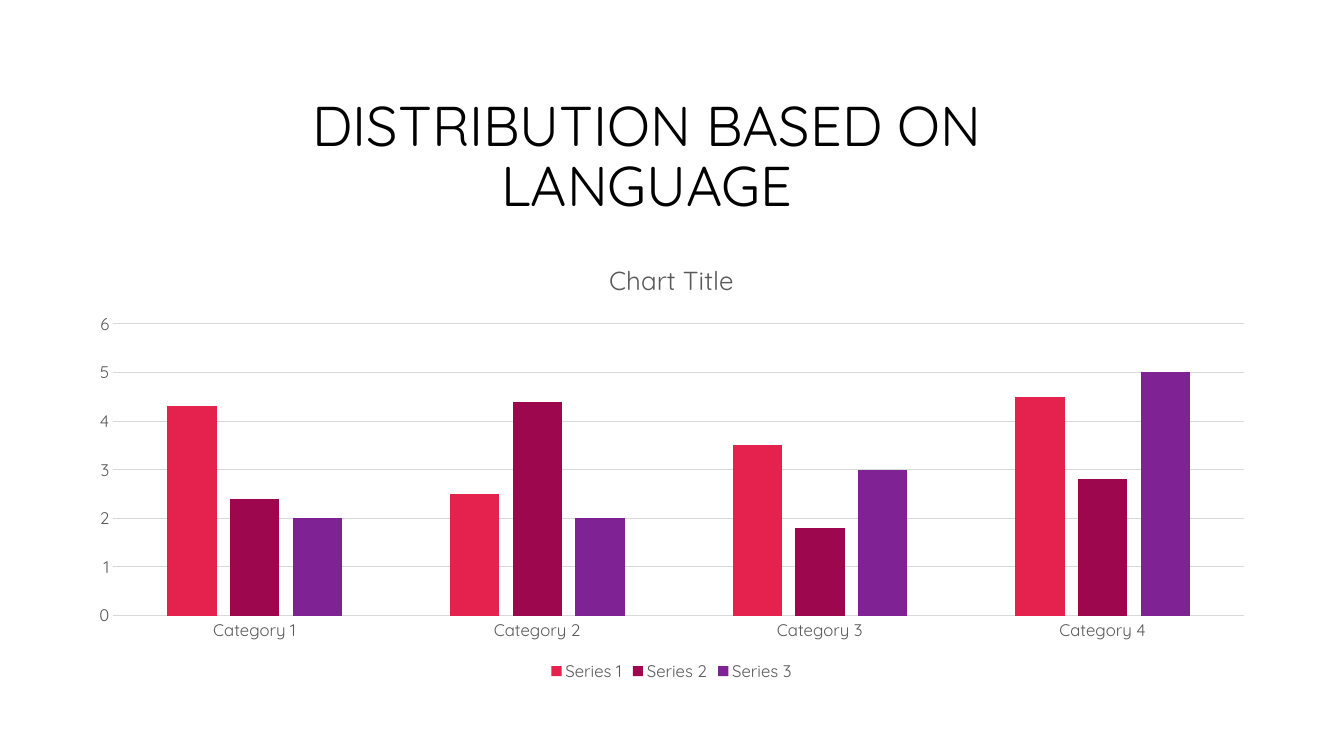
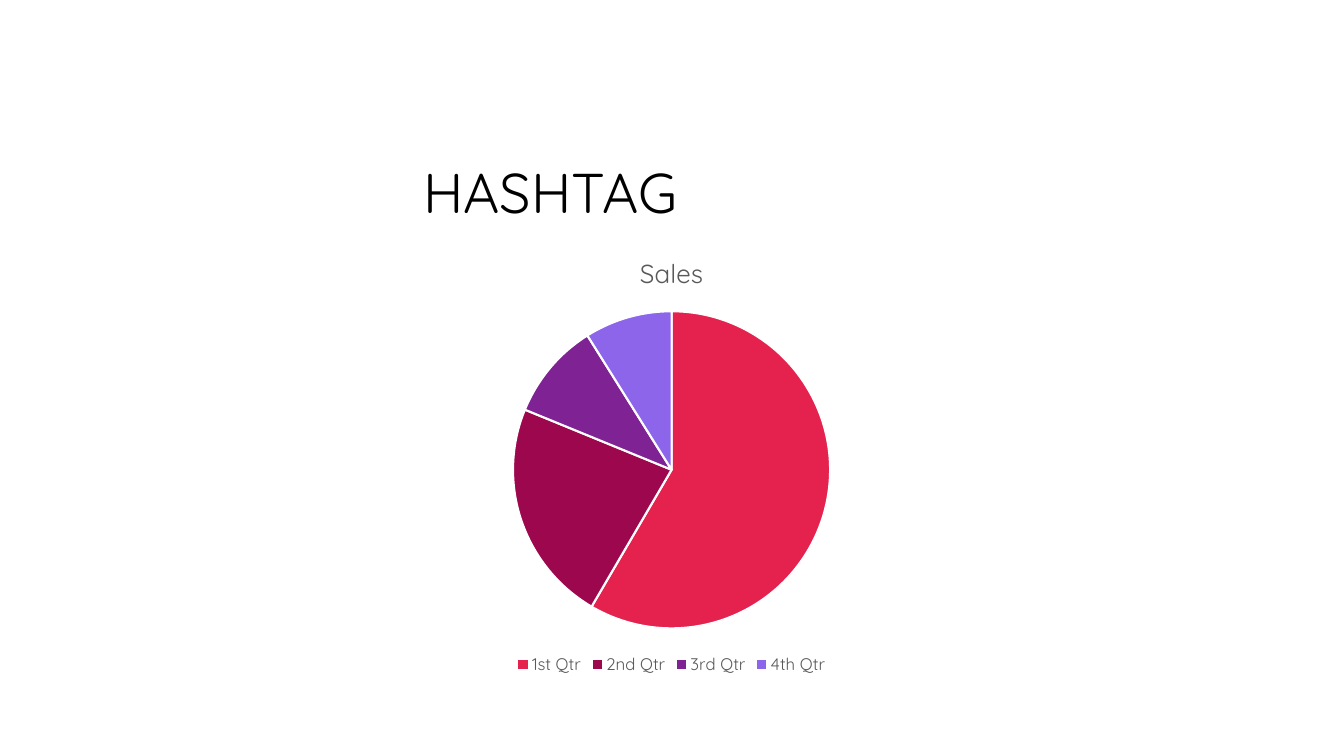
from pptx import Presentation
from pptx import util as u
from pptx.chart.data import CategoryChartData
from pptx.dml.color import RGBColor
from pptx.enum import chart as charts, text

FONT = "Quicksand"
BLACK, GRAY, GRID, WHITE = "000000", "595959", "D9D9D9", "FFFFFF"
PALETTE = ["E5224E", "9D074E", "7F2294", "8D65EA"]

SLIDES = [
    {
        "title": "DISTRIBUTION BASED ON LANGUAGE",
        "title_at": (4.34, 2.24),
        "anchor": text.MSO_ANCHOR.MIDDLE,
        "chart_top": 6.1,
        "chart_title": "Chart Title",
        "type": charts.XL_CHART_TYPE.COLUMN_CLUSTERED,
        "categories": ["Category 1", "Category 2", "Category 3", "Category 4"],
        "series": {
            "Series 1": [4.3, 2.5, 3.5, 4.5],
            "Series 2": [2.4, 4.4, 1.8, 2.8],
            "Series 3": [2, 2, 3, 5],
        },
    },
    {
        "title": "HASHTAG",
        "title_at": (1.9, 2.31),
        "anchor": text.MSO_ANCHOR.BOTTOM,
        "chart_top": 5.92,
        "chart_title": "Sales",
        "type": charts.XL_CHART_TYPE.PIE,
        "categories": ["1st Qtr", "2nd Qtr", "3rd Qtr", "4th Qtr"],
        "series": {"Sales": [59, 23, 10, 9]},
    },
]


def color(value):
    return RGBColor.from_string(value)


def style_font(font, size, fill):
    font.name = FONT
    font.size = u.Pt(size)
    font.bold = False
    font.color.rgb = color(fill)


def write(frame, content, size=18, fill=BLACK, spacing=None):
    paragraph = frame.paragraphs[0]
    paragraph.alignment = text.PP_ALIGN.CENTER
    paragraph.line_spacing = spacing
    run = paragraph.add_run()
    run.text = content
    style_font(run.font, size, fill)


def paint(part, fill):
    part.format.fill.solid()
    part.format.fill.fore_color.rgb = color(fill)


def outline(line, fill, width):
    line.color.rgb = color(fill)
    line.width = u.Pt(width)


def add_title(slide, content):
    left, top = content["title_at"]
    box = slide.shapes.add_textbox(u.Cm(left), u.Cm(top), u.Cm(23.93), u.Cm(3.58))
    frame = box.text_frame
    frame.word_wrap = True
    frame.vertical_anchor = content["anchor"]
    frame.margin_bottom = u.Cm(0.2)
    write(frame, content["title"], size=40, spacing=0.9)


def style_columns(chart):
    plot = chart.plots[0]
    plot.gap_width = 219
    plot.overlap = -27
    for series, fill in zip(plot.series, PALETTE):
        series.invert_if_negative = False
        paint(series, fill)
    for axis in (chart.category_axis, chart.value_axis):
        axis.major_tick_mark = axis.minor_tick_mark = charts.XL_TICK_MARK.NONE
        style_font(axis.tick_labels.font, 12, GRAY)
    outline(chart.category_axis.format.line, GRID, 0.75)
    chart.value_axis.format.line.fill.background()
    outline(chart.value_axis.major_gridlines.format.line, GRID, 0.75)


def style_pie(chart):
    series = chart.plots[0].series[0]
    for index, fill in enumerate(PALETTE):
        point = series.points[index]
        paint(point, fill)
        outline(point.format.line, WHITE, 1.5)


def add_chart(slide, content):
    data = CategoryChartData()
    data.categories = content["categories"]
    for name, values in content["series"].items():
        data.add_series(name, values)
    chart = slide.shapes.add_chart(
        content["type"], u.Cm(1.9), u.Cm(content["chart_top"]),
        u.Cm(30.05), u.Cm(11.18), data).chart
    style_font(chart.font, 10, BLACK)
    chart.has_title = True
    write(chart.chart_title.text_frame, content["chart_title"], size=18.6, fill=GRAY)
    chart.chart_title.include_in_layout = False
    chart.has_legend = True
    chart.legend.position = charts.XL_LEGEND_POSITION.BOTTOM
    chart.legend.include_in_layout = False
    style_font(chart.legend.font, 12, GRAY)
    is_pie = content["type"] == charts.XL_CHART_TYPE.PIE
    chart.plots[0].vary_by_categories = is_pie
    if is_pie:
        style_pie(chart)
    else:
        style_columns(chart)


def main():
    presentation = Presentation()
    presentation.slide_width = u.Cm(33.87)
    presentation.slide_height = u.Cm(19.05)
    for content in SLIDES:
        slide = presentation.slides.add_slide(presentation.slide_layouts[6])
        add_title(slide, content)
        add_chart(slide, content)
    presentation.save("out.pptx")


if __name__ == "__main__":
    main()
